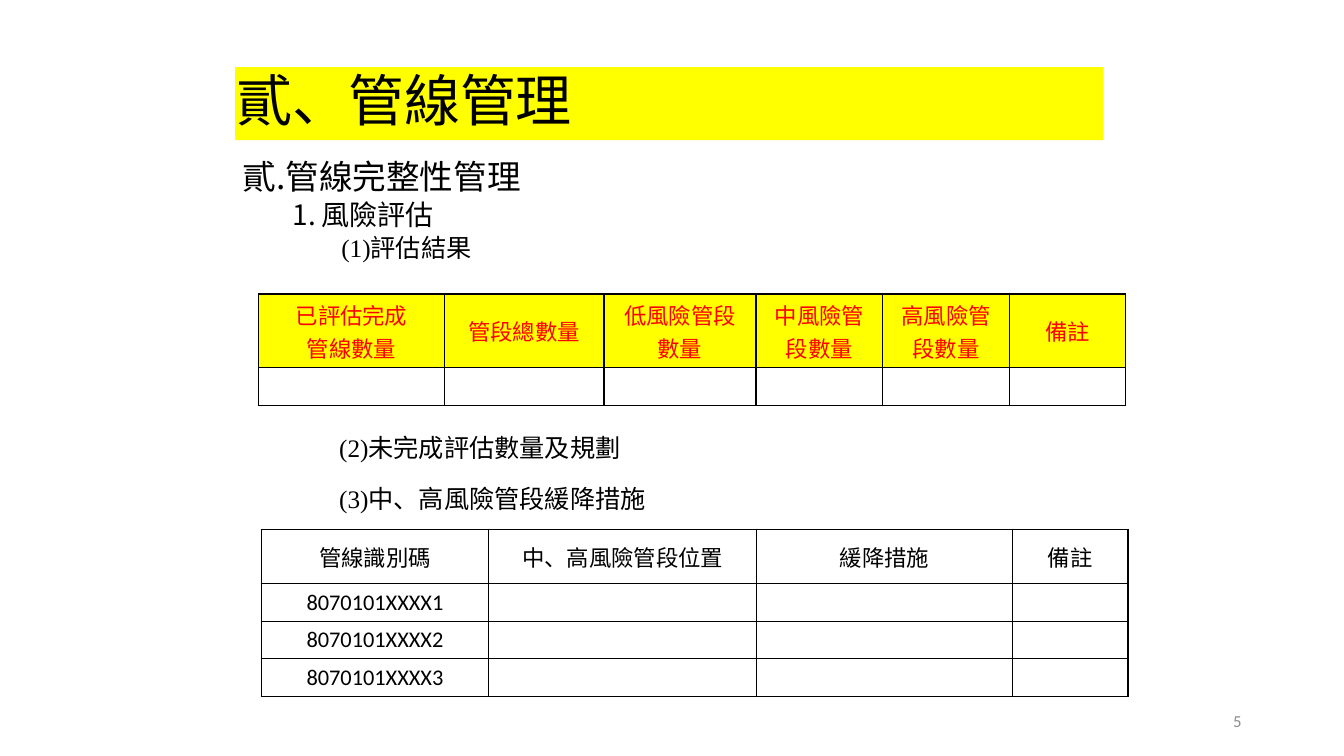
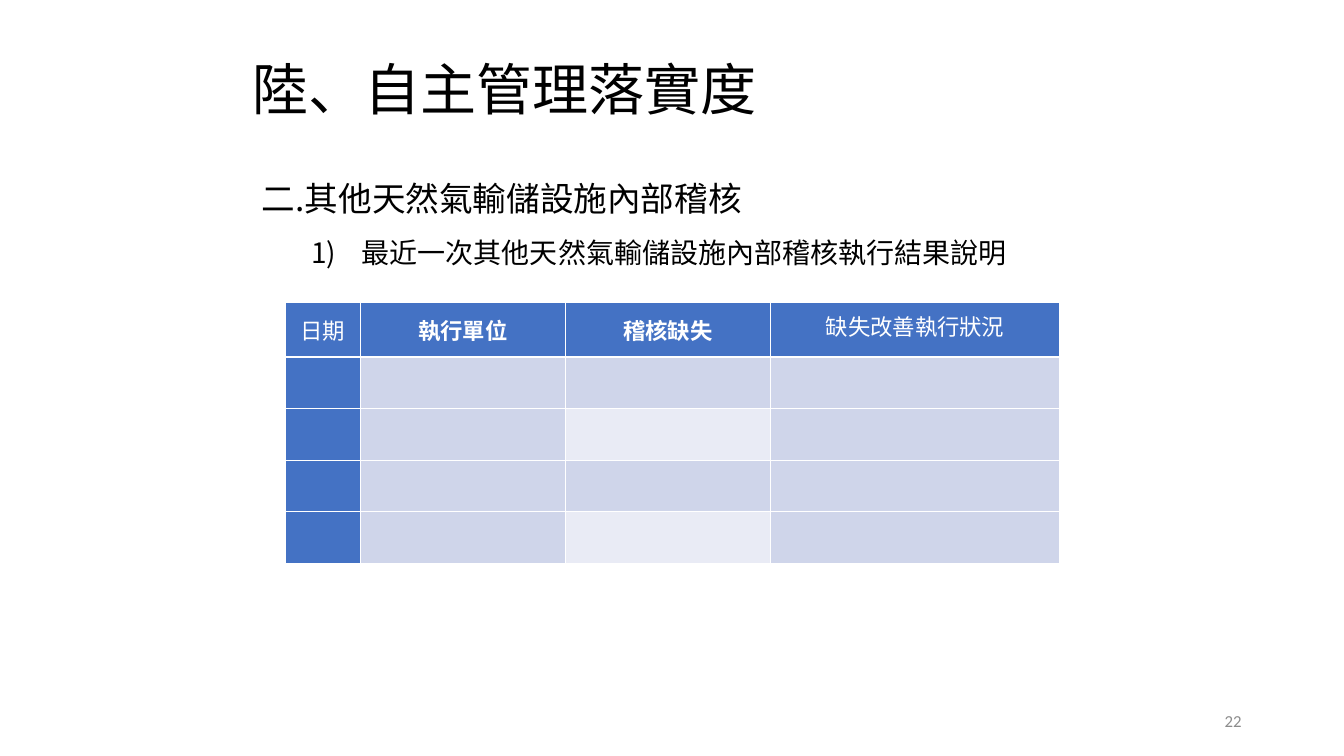
from lxml import etree
from pptx import Presentation
from pptx.dml.color import RGBColor
from pptx.enum.text import MSO_ANCHOR, MSO_AUTO_SIZE, PP_ALIGN
from pptx.oxml.ns import qn
from pptx.util import Inches, Pt

LEFT, CENTER, RIGHT = PP_ALIGN.LEFT, PP_ALIGN.CENTER, PP_ALIGN.RIGHT
TOP, MIDDLE = MSO_ANCHOR.TOP, MSO_ANCHOR.MIDDLE
NO_FIT = MSO_AUTO_SIZE.NONE

GRID_COLS, GRID_ROWS = 160, 90
SERIF, SANS, CJK = "Times New Roman", "Calibri", "Noto Sans CJK SC"
BLACK, WHITE, GREY = "000000", "FFFFFF", "8C8C8C"
YELLOW, RED = "FFFF00", "FF0000"
BLUE, PALE, PALER = "4472C4", "CFD5EA", "E9EBF5"


def rgb(value):
    """Turn a hex string into a colour."""
    return RGBColor.from_string(value)


class Deck:
    """Hold the shared style and the slide being built."""

    def __init__(self):
        """Start a wide presentation."""
        self.prs = Presentation()
        self.prs.slide_width = Inches(13.33)
        self.prs.slide_height = Inches(7.5)
        self.slide = None

    def x(self, cols):
        """Give a width in grid columns."""
        return round(self.prs.slide_width * cols / GRID_COLS)

    def y(self, rows):
        """Give a height in grid rows."""
        return round(self.prs.slide_height * rows / GRID_ROWS)

    def box(self, left, top, width, height):
        """Give a place on the grid."""
        return self.x(left), self.y(top), self.x(width), self.y(height)

    def run(self, p, text, size, font=CJK, color=BLACK, bold=False):
        """Add one formatted run."""
        r = p.add_run()
        r.text = text
        r.font.size = Pt(size)
        r.font.name = font
        r.font.bold = bold
        r.font.color.rgb = rgb(color)
        ea = etree.SubElement(r.font._element, qn("a:ea"))
        ea.set("typeface", CJK)

    def paragraph(self, p, text, size, font=CJK, color=BLACK, spacing=1.0,
                  before=0, indent=(0, 0), number=None, start=1, align=LEFT):
        """Format one paragraph and add its run."""
        p.alignment = align
        p.line_spacing = spacing
        p.space_before = Pt(before)
        margin, first = indent
        pPr = p._p.get_or_add_pPr()
        pPr.set("marL", str(Inches(margin)))
        pPr.set("indent", str(Inches(first)))
        if number:
            etree.SubElement(pPr, qn("a:buFont")).set("typeface", CJK)
            bullet = etree.SubElement(pPr, qn("a:buAutoNum"))
            bullet.set("type", number)
            bullet.set("startAt", str(start))
        self.run(p, text, size, font, color)

    def new_slide(self, title, place, number, font, band=None):
        """Add a slide with its title and page number."""
        self.slide = self.prs.slides.add_slide(self.prs.slide_layouts[5])
        sp = self.slide.shapes.title
        sp.left, sp.top, sp.width, sp.height = self.box(*place)
        if band:
            sp.fill.solid()
            sp.fill.fore_color.rgb = rgb(band)
        tf = sp.text_frame
        tf.auto_size = NO_FIT
        tf.vertical_anchor = MIDDLE
        tf.margin_left = tf.margin_right = tf.margin_top = tf.margin_bottom = 0
        self.paragraph(tf.paragraphs[0], title, 40, font, spacing=0.9,
                       indent=(0.01, 0))
        self.text((113, 83.4, 36, 4.8), [dict(
            text=number, size=12, font=SANS, color=GREY, align=RIGHT)], MIDDLE)

    def text(self, place, paragraphs, anchor=TOP):
        """Add a text box of formatted paragraphs."""
        sp = self.slide.shapes.add_textbox(*self.box(*place))
        tf = sp.text_frame
        tf.word_wrap = True
        tf.vertical_anchor = anchor
        for i, style in enumerate(paragraphs):
            p = tf.add_paragraph() if i else tf.paragraphs[0]
            self.paragraph(p, **style)

    def cell(self, cell, text, fill, border, color, bold, spacing):
        """Border, fill and write one table cell."""
        tcPr = cell._tc.get_or_add_tcPr()
        for side in ("lnL", "lnR", "lnT", "lnB"):
            ln = etree.SubElement(tcPr, qn(f"a:{side}"), w=str(Pt(1)))
            solid = etree.SubElement(ln, qn("a:solidFill"))
            etree.SubElement(solid, qn("a:srgbClr"), val=border)
        if fill:
            cell.fill.solid()
            cell.fill.fore_color.rgb = rgb(fill)
        else:
            cell.fill.background()
        cell.vertical_anchor = MIDDLE
        tf = cell.text_frame
        for i, line in enumerate(text.split("\n")):
            p = tf.add_paragraph() if i else tf.paragraphs[0]
            p.alignment = CENTER
            if line:
                p.line_spacing = spacing
                self.run(p, line, 16, SANS, color, bold)
            else:
                etree.SubElement(p._p, qn("a:endParaRPr"), sz="1600")

    def table(self, left, top, cols, rows, texts, fill_at, border=BLACK,
              head_color=BLACK, bold_cols=(), tight_cols=()):
        """Add a table sized in grid columns and rows."""
        place = self.box(left, top, sum(cols), sum(rows))
        table = self.slide.shapes.add_table(len(rows), len(cols), *place).table
        for column, width in zip(table.columns, cols):
            column.width = self.x(width)
        for i, height in enumerate(rows):
            table.rows[i].height = self.y(height)
            for j in range(len(cols)):
                head = i == 0
                self.cell(table.cell(i, j), texts.get((i, j), ""),
                          fill_at(i, j), border,
                          head_color if head else BLACK,
                          head and j in bold_cols,
                          Pt(18) if head and j in tight_cols else 1.0)


def header(*labels):
    """Place labels along the first table row."""
    return {(0, j): label for j, label in enumerate(labels)}


def audit_fill(i, j):
    """Choose the fill of an audit table cell."""
    if i == 0 or j == 0:
        return BLUE
    return PALER if j == 2 and i % 2 == 0 else PALE


def pipeline_slide(deck):
    """Build the pipeline management slide."""
    deck.new_slide("貳、管線管理", (28, 8, 103.4, 8.7), "5", SERIF, YELLOW)
    deck.text((27.7, 18, 107.8, 16.9), [
        dict(text="管線完整性管理", size=24, font=SERIF, spacing=1.0,
             indent=(0.25, -0.25), number="ea1ChtPeriod", start=2),
        dict(text="風險評估", size=20, font=SERIF, spacing=0.75, before=6,
             indent=(0.78, -0.28), number="arabicPeriod"),
        dict(text="(1)評估結果", size=18, font=SERIF, spacing=0.8, before=6,
             indent=(0.98, 0)),
    ])
    items = ("(2)未完成評估數量及規劃", "(3)中、高風險管段緩降措施")
    for i, item in enumerate(items):
        deck.text((38, 49.1 + 6 * i, 51.8, 7.7), [dict(
            text=item, size=18, font=SERIF, spacing=1.5, indent=(0.1, 0))])
    deck.table(30.8, 35, (22.1, 19, 18.1, 15.1, 15.1, 13.8), (8.8, 4.5),
               header("已評估完成\n管線數量", "管段總數量", "低風險管段數量",
                      "中風險管段數量", "高風險管段數量", "備註"),
               lambda i, j: None if i else YELLOW, head_color=RED)
    texts = header("管線識別碼", "中、高風險管段位置", "緩降措施", "備註")
    texts.update({(i, 0): f"8070101XXXX{i}" for i in range(1, 4)})
    deck.table(31.1, 63, (27.1, 31.9, 30.4, 13.8), (6.5,) + (4.47,) * 3,
               texts, lambda i, j: None)


def audit_slide(deck):
    """Build the internal audit slide."""
    deck.new_slide("陸、自主管理落實度", (30, 6.6, 91.6, 8.7), "22", CJK)
    deck.text((30, 18.5, 94, 13.8), [
        dict(text="二.其他天然氣輸儲設施內部稽核", size=24, spacing=1.5),
        dict(text="最近一次其他天然氣輸儲設施內部稽核執行結果說明", size=20,
             spacing=1.5, indent=(0.99, -0.5), number="arabicParenR"),
    ], MIDDLE)
    deck.table(34, 36, (8.9, 24.4, 24.4, 34.5), (6.5,) + (6.15,) * 4,
               header("日期", "執行單位", "稽核缺失", "缺失改善執行狀況"),
               audit_fill, border=WHITE, head_color=WHITE,
               bold_cols=(1, 2), tight_cols=(3,))


def main():
    """Build and save the presentation."""
    deck = Deck()
    pipeline_slide(deck)
    audit_slide(deck)
    deck.prs.save("out.pptx")


if __name__ == "__main__":
    main()
